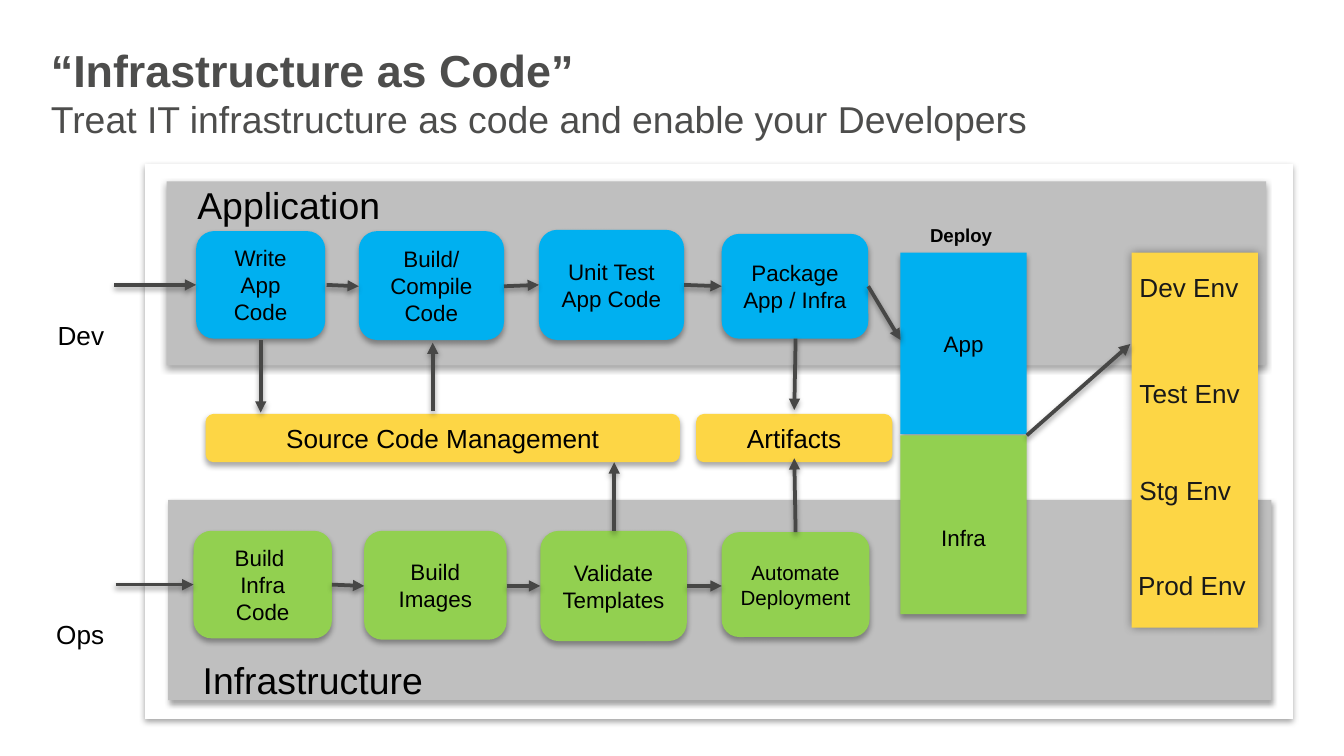
from dataclasses import dataclass

from lxml.etree import SubElement
from pptx import Presentation
from pptx.dml.color import RGBColor
from pptx.enum.shapes import MSO_CONNECTOR, MSO_SHAPE
from pptx.enum.text import MSO_ANCHOR, PP_ALIGN
from pptx.oxml.ns import qn
from pptx.util import Pt

PX = 9144
SLIDE_WIDTH = 1000 * PX
SLIDE_HEIGHT = SLIDE_WIDTH * 9 // 16
FONT = "Arial"
COLORS = {
    "white": "FFFFFF",
    "panel": "BFBFBF",
    "app": "00B0F0",
    "infra": "92D050",
    "store": "FDD645",
    "arrow": "474746",
    "title": "4D4D4C",
    "env": "191919",
    "text": "000000",
}


@dataclass(frozen=True)
class Shadow:
    alpha: int
    blur: float
    dist: float
    angle: int


BOX_SHADOW = Shadow(35, 3.1, 1.8, 90)
ARROW_SHADOW = Shadow(38, 3.1, 1.6, 90)
GLOW_SHADOW = Shadow(40, 5, 0, 0)


@dataclass(frozen=True)
class Box:
    x: int
    y: int
    w: int
    h: int
    color: str
    text: str = ""
    size: int = 12
    rounded: bool = False
    top_inset: int = 5
    shadow: Shadow = BOX_SHADOW


@dataclass(frozen=True)
class Label:
    x: int
    y: int
    w: int
    h: int
    text: str
    size: int = 14
    color: str = "text"
    bold: bool = False
    centered: bool = False
    wrap: bool = False


@dataclass(frozen=True)
class Arrow:
    x1: int
    y1: int
    x2: int
    y2: int


BOXES = [
    Box(108, 122, 854, 413, "white"),
    Box(125, 372, 821, 149, "panel"),
    Box(124, 135, 818, 137, "panel"),
    Box(153, 308, 353, 36, "store", "Source Code Management", 14, True),
    Box(518, 308, 146, 36, "store", "Artifacts", 14, True),
    Box(842, 188, 94, 279, "store", shadow=GLOW_SHADOW),
    Box(146, 172, 96, 80, "app", "Write\nApp Code", rounded=True),
    Box(267, 172, 108, 81, "app", "Build/\nCompile\nCode", rounded=True),
    Box(401, 171, 108, 82, "app", "Unit Test\nApp Code", rounded=True),
    Box(537, 174, 109, 78, "app", "Package\nApp / Infra", rounded=True),
    Box(144, 395, 103, 80, "infra", "Build \nInfra Code", rounded=True),
    Box(271, 395, 106, 81, "infra", "Build\nImages", rounded=True),
    Box(402, 395, 109, 82, "infra", "Validate\nTemplates", rounded=True),
    Box(537, 396, 110, 78, "infra", "Automate\nDeployment", 11, True),
    Box(670, 188, 94, 135, "app", "App"),
    Box(670, 324, 94, 133, "infra", "Infra", top_inset=24),
]

TITLE = Label(28, 27, 961, 56, "“Infrastructure as Code” \v"
              "Treat IT infrastructure as code and enable your Developers",
              20, "title", wrap=True)

LABELS = [
    Label(33, 233, 55, 34, "Dev"),
    Label(32, 455, 56, 34, "Ops"),
    Label(137, 131, 167, 44, "Application", 20, wrap=True),
    Label(141, 484, 392, 44, "Infrastructure", 20, wrap=True),
    Label(681, 162, 72, 27, "Deploy ", 10, bold=True, centered=True, wrap=True),
    Label(838, 197, 94, 34, "Dev Env", color="env"),
    Label(838, 276, 95, 34, "Test Env", color="env"),
    Label(838, 348, 89, 34, "Stg Env", color="env"),
    Label(837, 419, 101, 34, "Prod Env", color="env"),
]

ARROWS = [
    Arrow(85, 212, 146, 212),
    Arrow(243, 212, 267, 213),
    Arrow(375, 213, 401, 212),
    Arrow(509, 212, 537, 213),
    Arrow(646, 213, 670, 253),
    Arrow(764, 324, 841, 256),
    Arrow(86, 435, 144, 435),
    Arrow(247, 435, 271, 436),
    Arrow(377, 436, 402, 436),
    Arrow(511, 436, 537, 436),
    Arrow(194, 253, 194, 307),
    Arrow(322, 306, 322, 255),
    Arrow(457, 395, 457, 344),
    Arrow(592, 252, 591, 305),
    Arrow(592, 396, 591, 341),
]


def rgb(name: str) -> RGBColor:
    return RGBColor.from_string(COLORS[name])


def add_shadow(sp_pr, shadow: Shadow) -> None:
    effects = sp_pr.find(qn("a:effectLst"))
    if effects is None:
        effects = SubElement(sp_pr, qn("a:effectLst"))
    outer = SubElement(effects, qn("a:outerShdw"), blurRad=str(Pt(shadow.blur)),
                       dist=str(Pt(shadow.dist)), dir=str(shadow.angle * 60000),
                       rotWithShape="0")
    color = SubElement(outer, qn("a:srgbClr"), val=COLORS["text"])
    SubElement(color, qn("a:alpha"), val=str(shadow.alpha * 1000))


def set_text(tf, text: str, size: int, color: str, align: PP_ALIGN,
             top_inset: int = 5, bold: bool = False) -> None:
    tf.text = text
    tf.margin_left = tf.margin_right = 10 * PX
    tf.margin_top = top_inset * PX
    tf.margin_bottom = 5 * PX
    for p in tf.paragraphs:
        p.alignment = align
        for r in p.runs:
            r.font.name = FONT
            r.font.size = Pt(size)
            r.font.bold = bold
            r.font.color.rgb = rgb(color)


def draw_box(s, box: Box) -> None:
    kind = MSO_SHAPE.ROUNDED_RECTANGLE if box.rounded else MSO_SHAPE.RECTANGLE
    sp = s.shapes.add_shape(kind, box.x * PX, box.y * PX, box.w * PX, box.h * PX)
    sp.fill.solid()
    sp.fill.fore_color.rgb = rgb(box.color)
    sp.line.fill.background()
    sp.shadow.inherit = False
    add_shadow(sp.element.spPr, box.shadow)
    if box.text:
        tf = sp.text_frame
        tf.word_wrap = True
        tf.vertical_anchor = MSO_ANCHOR.MIDDLE
        set_text(tf, box.text, box.size, "text", PP_ALIGN.CENTER, box.top_inset)


def draw_label(s, label: Label):
    sp = s.shapes.add_textbox(label.x * PX, label.y * PX, label.w * PX, label.h * PX)
    tf = sp.text_frame
    tf.word_wrap = label.wrap
    align = PP_ALIGN.CENTER if label.centered else PP_ALIGN.LEFT
    set_text(tf, label.text, label.size, label.color, align, bold=label.bold)
    return tf


def draw_arrow(s, arrow: Arrow) -> None:
    sp = s.shapes.add_connector(MSO_CONNECTOR.STRAIGHT, arrow.x1 * PX, arrow.y1 * PX,
                                arrow.x2 * PX, arrow.y2 * PX)
    sp.line.color.rgb = rgb("arrow")
    sp.line.width = Pt(2)
    ln = sp.element.spPr.find(qn("a:ln"))
    SubElement(ln, qn("a:tailEnd"), type="triangle")
    add_shadow(sp.element.spPr, ARROW_SHADOW)


def main() -> None:
    prs = Presentation()
    prs.slide_width, prs.slide_height = SLIDE_WIDTH, SLIDE_HEIGHT
    s = prs.slides.add_slide(prs.slide_layouts[6])
    for box in BOXES:
        draw_box(s, box)
    for label in LABELS:
        draw_label(s, label)
    heading = draw_label(s, TITLE).paragraphs[0].runs[0].font
    heading.size, heading.bold = Pt(24), True
    for arrow in ARROWS:
        draw_arrow(s, arrow)
    prs.save("out.pptx")


if __name__ == "__main__":
    main()
